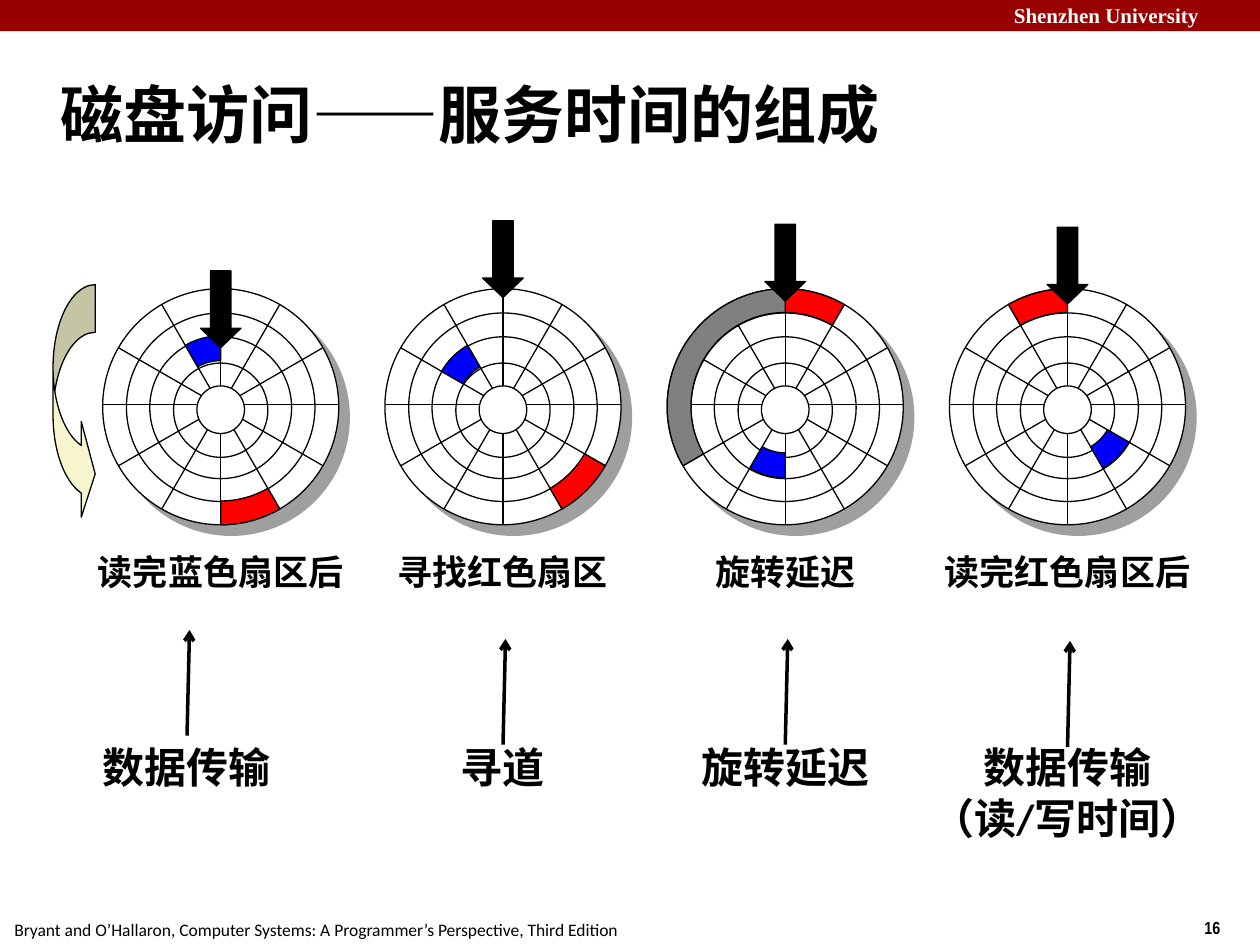
from math import cos, radians, sin

from lxml import etree
from pptx import Presentation
from pptx.dml.color import RGBColor
from pptx.enum.shapes import MSO_CONNECTOR, MSO_SHAPE
from pptx.enum.text import MSO_ANCHOR, PP_ALIGN
from pptx.oxml import parse_xml
from pptx.oxml.ns import nsdecls, qn
from pptx.util import Cm, Pt

LEFT, CENTER = PP_ALIGN.LEFT, PP_ALIGN.CENTER
TOP, MIDDLE = MSO_ANCHOR.TOP, MSO_ANCHOR.MIDDLE
OVAL, DOWN_ARROW = MSO_SHAPE.OVAL, MSO_SHAPE.DOWN_ARROW
STRAIGHT = MSO_CONNECTOR.STRAIGHT

BLACK = RGBColor(0x00, 0x00, 0x00)
WHITE = RGBColor(0xFF, 0xFF, 0xFF)
BANNER = RGBColor(0x99, 0x00, 0x00)
RED = RGBColor(0xFF, 0x00, 0x00)
BLUE = RGBColor(0x00, 0x00, 0xFF)
GRAY = RGBColor(0x80, 0x80, 0x80)
CREAM = RGBColor(0xF7, 0xF5, 0xCD)

SHADOW = (
    f'<a:effectLst {nsdecls("a")}><a:outerShdw dist="107950" dir="2700000" '
    'algn="ctr" rotWithShape="0"><a:srgbClr val="808080">'
    '<a:alpha val="75000"/></a:srgbClr></a:outerShdw></a:effectLst>'
)


def style(sp, fill):
    sp.shadow.inherit = False
    sp.fill.solid()
    sp.fill.fore_color.rgb = fill
    sp.line.color.rgb = BLACK
    sp.line.width = Pt(0.75)


def add_text(box, lines, size, font, bold=True, color=BLACK,
             align=LEFT, anchor=TOP, wrap=True):
    """Place one paragraph per line in a box of (left, top, width, height) cm."""
    tf = s.shapes.add_textbox(*map(Cm, box)).text_frame
    tf.word_wrap = wrap
    tf.vertical_anchor = anchor
    for i, line in enumerate(lines):
        p = tf.paragraphs[0] if i == 0 else tf.add_paragraph()
        p.alignment = align
        r = p.add_run()
        r.text = line
        fmt = {"size": Pt(size), "name": font, "bold": bold}
        for key, value in fmt.items():
            setattr(r.font, key, value)
        r.font.color.rgb = color


prs = Presentation()
prs.slide_width, prs.slide_height = Cm(25.4), Cm(19.05)
s = prs.slides.add_slide(prs.slide_layouts[6])

# Banner, footer and title
banner = s.shapes.add_shape(MSO_SHAPE.RECTANGLE, 0, 0, prs.slide_width, Cm(0.63))
style(banner, BANNER)
banner.line.fill.background()
add_text((20.19, -0.07, 5.2, 0.76), ["Shenzhen University"], 12,
         "Times New Roman", color=WHITE)
add_text((24.03, 18.36, 1.37, 0.69), ["16"], 10, "Arial Narrow")
add_text((0.04, 18.41, 13.5, 0.64),
         ["Bryant and O’Hallaron, Computer Systems: A Programmer’s Perspective, "
          "Third Edition"], 10, "Calibri", bold=False)
add_text((0.98, 1.22, 22.48, 2.11), ["磁盘访问——服务时间的组成"], 36, "Calibri",
         anchor=MIDDLE)

# Disks: sectors are (start, end, inner radius, outer radius, colour),
# in degrees clockwise from the top
FIRST_X, STEP_X, CENTER_Y = 4.45, 5.69, 8.2
RINGS = [(2.38, 8.2), (1.9, 8.21), (1.43, 8.22), (0.95, 8.27)]
HUB = (0.48, 8.26)
OUTER, INNER = (1.9, 2.38), (0.93, 1.43)
DISKS = [
    {"head": 5.46, "caption": "读完蓝色扇区后", "label": ["数据传输"],
     "label_x": 3.77, "arrow_y": (14.83, 12.7),
     "sectors": [(330, 360, *INNER, BLUE), (150, 180, *OUTER, RED)]},
    {"head": 4.45, "caption": "寻找红色扇区", "label": ["寻道"],
     "label_x": 10.14, "arrow_y": (15.01, 12.88),
     "sectors": [(120, 150, *OUTER, RED), (300, 330, *INNER, BLUE)]},
    {"head": 4.52, "caption": "旋转延迟", "label": ["旋转延迟"],
     "label_x": 15.83, "arrow_y": (15.01, 12.88),
     "sectors": [(0, 30, *OUTER, RED), (180, 210, *INNER, BLUE),
                 (240, 360, *OUTER, GRAY)]},
    {"head": 4.58, "caption": "读完红色扇区后", "label": ["数据传输", "（读/写时间）"],
     "label_x": 21.52, "arrow_y": (15.06, 12.92),
     "sectors": [(330, 360, *OUTER, RED), (120, 150, *INNER, BLUE)]},
]

for i, disk in enumerate(DISKS):
    cx = FIRST_X + i * STEP_X
    shapes = s.shapes.add_group_shape().shapes
    for n, (radius, cy) in enumerate(RINGS):
        ring = shapes.add_shape(OVAL, Cm(cx - radius), Cm(cy - radius),
                                Cm(2 * radius), Cm(2 * radius))
        style(ring, WHITE)
        if n == 0:
            effects = ring._element.spPr.find(qn("a:effectLst"))
            effects.getparent().replace(effects, parse_xml(SHADOW))

    for angle in range(0, 180, 30):
        dx, dy = 2.38 * sin(radians(angle)), 2.38 * cos(radians(angle))
        mid_y = 8.16 if angle == 90 else CENTER_Y
        spoke = shapes.add_connector(STRAIGHT, Cm(cx + dx), Cm(mid_y - dy),
                                     Cm(cx - dx), Cm(mid_y + dy))
        spoke.line.color.rgb = BLACK
        spoke.line.width = Pt(0.75)
        etree.SubElement(spoke._element.spPr, qn("a:effectLst"))

    radius, cy = HUB
    hub = shapes.add_shape(OVAL, Cm(cx - radius), Cm(cy - radius),
                           Cm(2 * radius), Cm(2 * radius))
    style(hub, WHITE)

    for start, end, inner, outer, color in disk["sectors"]:
        angles = [radians(a) for a in range(start, end + 1, 3)]
        arc = [(outer, a) for a in angles] + [(inner, a) for a in reversed(angles)]
        points = [(Cm(cx + r * sin(a)), Cm(CENTER_Y - r * cos(a))) for r, a in arc]
        builder = shapes.build_freeform(*points[0])
        builder.add_line_segments(points[1:])
        style(builder.convert_to_shape(), color)

    head = shapes.add_shape(DOWN_ARROW, Cm(cx - 0.41), Cm(disk["head"]),
                            Cm(0.82), Cm(1.55))
    head.adjustments[0], head.adjustments[1] = 0.5, 0.48
    style(head, BLACK)

    add_text((cx - 3, 10.97, 6, 1.12), [disk["caption"]], 20, "Arial Narrow",
             align=CENTER)
    x = disk["label_x"]
    add_text((x - 3, 14.83, 6, 1.27 * len(disk["label"])), disk["label"], 24,
             "Calibri", align=CENTER, wrap=False)
    start_y, end_y = disk["arrow_y"]
    arrow = s.shapes.add_connector(STRAIGHT, Cm(x), Cm(start_y),
                                   Cm(x + 0.05), Cm(end_y))
    arrow.line.color.rgb = BLACK
    arrow.line.width = Pt(2)
    etree.SubElement(arrow.line._get_or_add_ln(), qn("a:tailEnd"), type="arrow")
    etree.SubElement(arrow._element.spPr, qn("a:effectLst"))

# Direction of rotation
rotation = s.shapes.add_shape(MSO_SHAPE.CURVED_RIGHT_ARROW, Cm(1.07), Cm(5.74),
                              Cm(0.85), Cm(4.78))
for n, value in enumerate((1.13, 2.27, 0.33)):
    rotation.adjustments[n] = value
style(rotation, CREAM)

prs.save("out.pptx")
